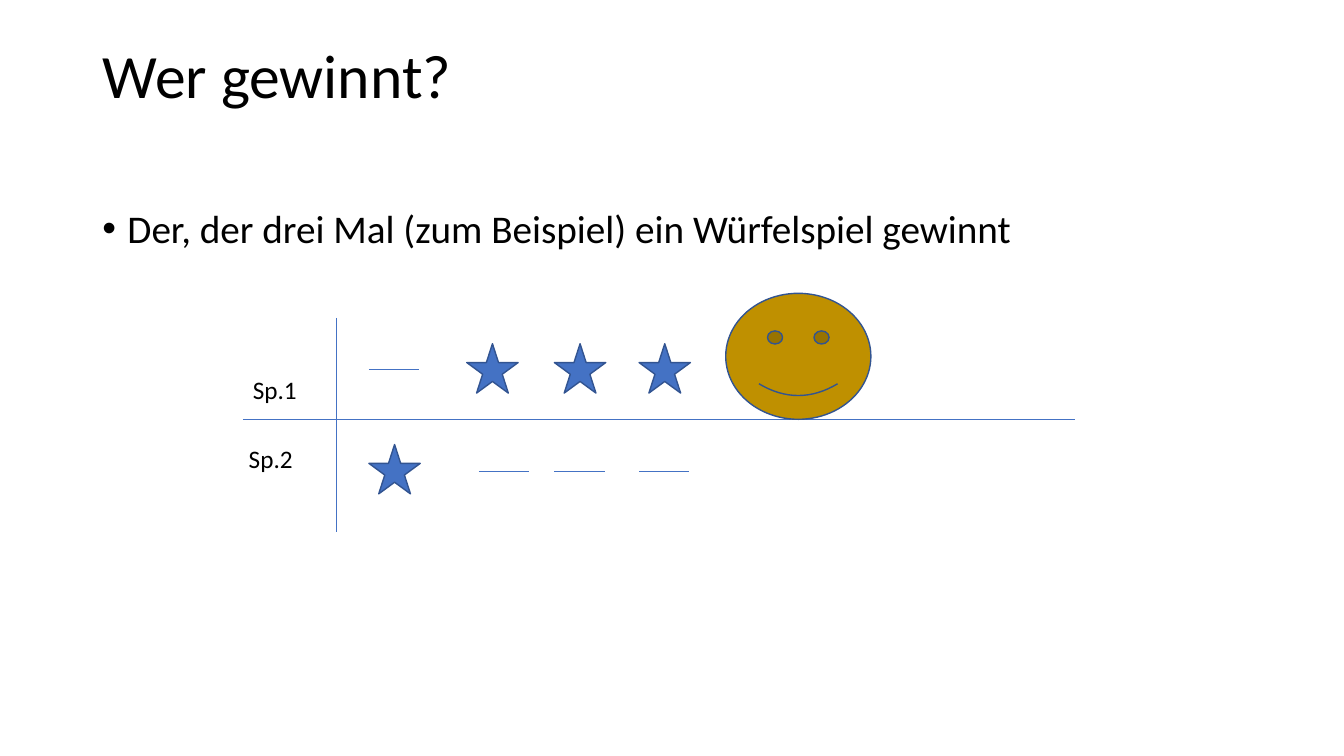
from dataclasses import dataclass

from pptx import Presentation
from pptx.dml.color import RGBColor
from pptx.enum import shapes, text
from pptx.oxml.ns import qn
from pptx.util import Pt


@dataclass(frozen=True)
class Theme:
    """Font, colours and sizes of the slide."""
    font: str = "Calibri"
    ink: str = "000000"
    blue: str = "4472C4"
    edge: str = "325491"
    gold: str = "BF9000"
    title: float = 44
    body: float = 28
    label: float = 18
    hairline: float = 0.5
    outline: float = 1


class Board:
    """Draws elements on one slide in one theme; lengths are points."""

    def __init__(self, s, theme):
        self.s, self.theme = s, theme

    def set_text(self, sp, words, size, **formats):
        """Fill a text shape with one formatted paragraph."""
        tf = sp.text_frame
        tf.word_wrap = True
        tf.vertical_anchor = text.MSO_ANCHOR.TOP
        p = tf.paragraphs[0]
        for name, value in {"alignment": text.PP_ALIGN.LEFT, **formats}.items():
            setattr(p, name, value)
        r = p.add_run()
        r.text = words
        for name, value in {"name": self.theme.font, "size": Pt(size)}.items():
            setattr(r.font, name, value)
        r.font.color.rgb = RGBColor.from_string(self.theme.ink)
        return p

    def title(self, words, *box):
        """Place and fill the title placeholder."""
        sp = self.s.shapes.title
        for name, value in zip(("left", "top", "width", "height"), box):
            setattr(sp, name, Pt(value))
        self.set_text(sp, words, self.theme.title, line_spacing=0.9)

    def label(self, words, size, *box, **formats):
        """Add a text box and return its paragraph."""
        sp = self.s.shapes.add_textbox(*map(Pt, box))
        return self.set_text(sp, words, size, **formats)

    def bullet(self, words, *box, indent=18):
        """Add a text box with one bulleted paragraph."""
        p = self.label(words, self.theme.body, *box,
                       line_spacing=0.9, space_before=Pt(10))
        ppr = p._p.get_or_add_pPr()
        ppr.set("marL", str(Pt(indent)))
        ppr.set("indent", str(Pt(-indent)))
        for tag, key, value in (("a:buFont", "typeface", "Arial"),
                                ("a:buChar", "char", "•")):
            ppr.append(ppr.makeelement(qn(tag), {key: value}))

    def line(self, *ends):
        """Add a thin straight line."""
        c = self.s.shapes.add_connector(shapes.MSO_CONNECTOR.STRAIGHT,
                                        *map(Pt, ends))
        c.line.color.rgb = RGBColor.from_string(self.theme.blue)
        c.line.width = Pt(self.theme.hairline)
        sppr = c._element.spPr
        sppr.append(sppr.makeelement(qn("a:effectLst"), {}))

    def shape(self, kind, fill, *box):
        """Add a filled, outlined preset shape."""
        sp = self.s.shapes.add_shape(kind, *map(Pt, box))
        sp.shadow.inherit = False
        sp.fill.solid()
        sp.fill.fore_color.rgb = RGBColor.from_string(fill)
        sp.line.color.rgb = RGBColor.from_string(self.theme.edge)
        sp.line.width = Pt(self.theme.outline)


def score_row(board, wins, columns, star_top, dash_y):
    """Draw a star for each win and a dash for each loss."""
    for won, x in zip(wins, columns):
        if won:
            board.shape(shapes.MSO_SHAPE.STAR_5_POINT, board.theme.blue,
                        x, star_top, 36.7, 35.3)
        else:
            board.line(x, dash_y, x + 36, dash_y)


def main():
    """Build the slide and save it."""
    prs = Presentation()
    prs.slide_width, prs.slide_height = Pt(960), Pt(540)
    theme = Theme()
    board = Board(prs.slides.add_slide(prs.slide_layouts[5]), theme)

    board.title("Wer gewinnt?", 66, 28.8, 828, 104.4)
    board.bullet("Der, der drei Mal (zum Beispiel) ein Würfelspiel gewinnt",
                 66, 146, 828, 342.7)

    board.line(173.5, 299.5, 768, 299.5)
    board.line(240, 227, 240, 380)

    first_columns = (263.5, 333.4, 396, 456.5)
    second_columns = (263.5, 342, 396, 456.5)
    score_row(board, (False, True, True, True), first_columns, 245.5, 263.5)
    score_row(board, (True, False, False, False), second_columns, 317.5, 337)

    for player, left, top in (("Sp.1", 173.5, 263.5), ("Sp.2", 170.6, 313.2)):
        board.label(player, theme.label, left, top, 51, 29)

    board.shape(shapes.MSO_SHAPE.SMILEY_FACE, theme.gold, 518.4, 209.5, 103.7, 90)
    prs.save("out.pptx")


main()
